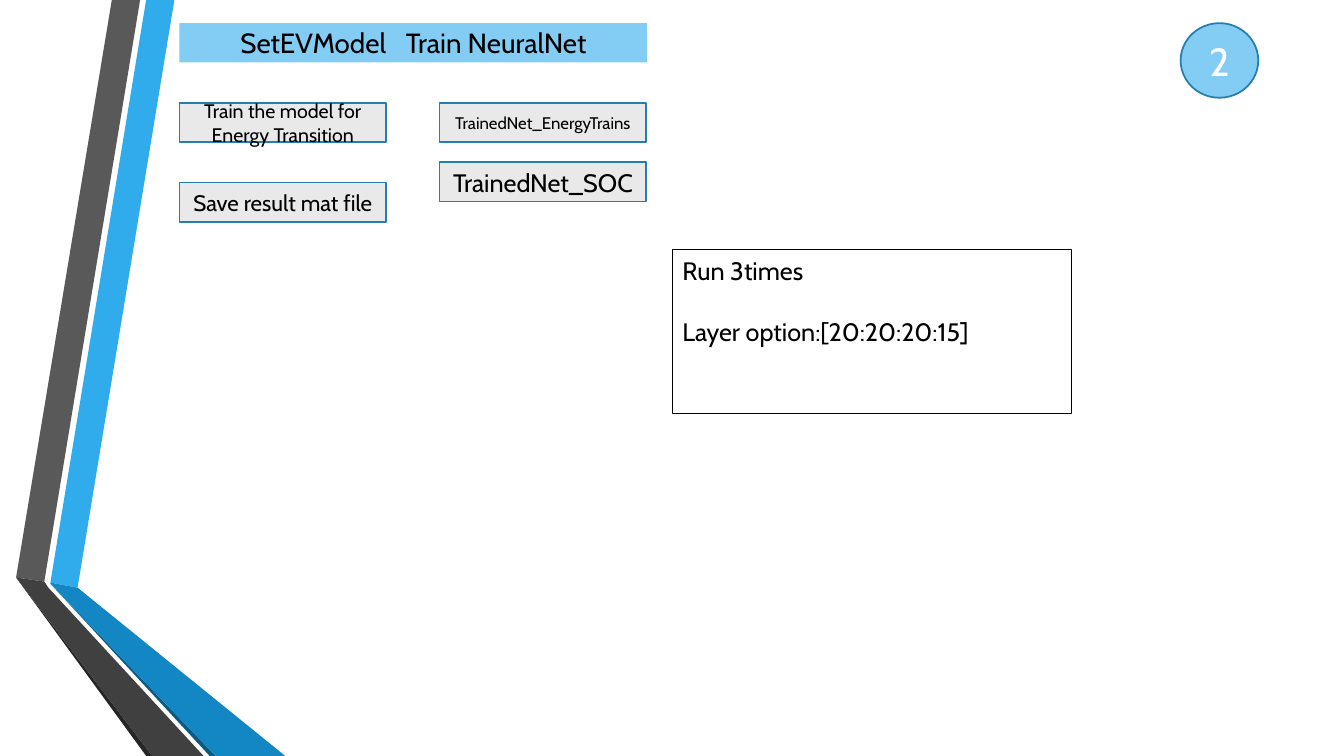
from dataclasses import dataclass

from pptx import Presentation
from pptx.dml.color import RGBColor
from pptx.enum.shapes import MSO_SHAPE
from pptx.enum.text import MSO_ANCHOR, PP_ALIGN
from pptx.util import Pt

RECT, CIRCLE = MSO_SHAPE.RECTANGLE, MSO_SHAPE.FLOWCHART_CONNECTOR
LEFT, CENTER = PP_ALIGN.LEFT, PP_ALIGN.CENTER
TOP, MIDDLE = MSO_ANCHOR.TOP, MSO_ANCHOR.MIDDLE

PX = 9144  # EMU per px, 100 px to the inch
FONT = "Cabin"
COLORS = {
    "blue": "30ACEC", "blue_fold": "1287C3", "blue_edge": "0C5A82",
    "gray": "595959", "gray_fold": "404040", "gray_edge": "262626",
    "sky": "83CDF4", "step": "E9E9E9", "outline": "247FAF",
    "black": "000000", "white": "FFFFFF",
}


@dataclass
class Ribbon:
    color: str
    points: list[tuple[int, int]]


@dataclass
class Box:
    lines: list[str]
    left: int
    top: int
    width: int
    height: int
    size: float
    fill: str | None = "step"
    line: str | None = "outline"
    line_width: float = 1.25
    color: str = "black"
    kind: MSO_SHAPE = RECT
    align: PP_ALIGN = CENTER
    anchor: MSO_ANCHOR = MIDDLE
    gap: int = 0  # points between paragraphs


RIBBONS = [
    Ribbon("blue", [(50, 578), (77, 583), (173, 0), (145, 0)]),
    Ribbon("gray", [(139, 0), (111, 0), (16, 573), (44, 577)]),
    Ribbon("gray_edge", [(16, 573), (145, 750), (151, 750)]),
    Ribbon("blue_edge", [(50, 579), (208, 750), (214, 750)]),
    Ribbon("blue_fold", [(50, 578), (50, 579), (214, 750), (283, 750), (77, 583)]),
    Ribbon("gray_fold", [(16, 573), (151, 750), (202, 750), (48, 583), (44, 577)]),
]

COL_1, COL_2 = 178, 436
STEP_W, STEP_H = 205, 39


def step(text: str, left: int, top: int, size: float) -> Box:
    return Box([text], left, top, STEP_W, STEP_H, size)


HEADING = Box(["SetEVModel", "Train NeuralNet"], COL_1, 23, 464, STEP_H, 19.8,
              fill="sky", line=None)
BOXES = [
    Box(["2"], 1171, 23, 77, 74, 28, fill="sky", color="white", kind=CIRCLE),
    step("Train the model for Energy Transition", COL_1, 102, 14),
    step("TrainedNet_EnergyTrains", COL_2, 102, 12),
    step("TrainedNet_SOC", COL_2, 161, 18),
    step("Save result mat file", COL_1, 181, 16),
    Box(["Run 3times", "Layer option:[20:20:20:15]"], 667, 248, 396, 162, 18,
        fill=None, line="black", line_width=0.75, align=LEFT, anchor=TOP, gap=22),
]


def rgb(name: str) -> RGBColor:
    return RGBColor.from_string(COLORS[name])


def draw_ribbon(s, ribbon: Ribbon) -> None:
    builder = s.shapes.build_freeform(*ribbon.points[0], scale=PX)
    builder.add_line_segments(ribbon.points[1:], close=True)
    sp = builder.convert_to_shape()
    sp.shadow.inherit = False
    sp.fill.solid()
    sp.fill.fore_color.rgb = rgb(ribbon.color)
    sp.line.fill.background()


def add_box(s, box: Box):
    """Draw the box without its text and return its text frame."""
    frame = (n * PX for n in (box.left, box.top, box.width, box.height))
    sp = s.shapes.add_shape(box.kind, *frame)
    sp.shadow.inherit = False
    if box.fill:
        sp.fill.solid()
        sp.fill.fore_color.rgb = rgb(box.fill)
    else:
        sp.fill.background()
    if box.line:
        sp.line.color.rgb = rgb(box.line)
        sp.line.width = Pt(box.line_width)
    else:
        sp.line.fill.background()
    tf = sp.text_frame
    tf.word_wrap = True
    tf.vertical_anchor = box.anchor
    return tf


def style_paragraph(p, box: Box) -> None:
    p.alignment = box.align
    p.font.name = FONT
    p.font.size = Pt(box.size)
    p.font.color.rgb = rgb(box.color)


def draw_box(s, box: Box) -> None:
    tf = add_box(s, box)
    for i, line in enumerate(box.lines):
        p = tf.add_paragraph() if i else tf.paragraphs[0]
        p.text = line
        style_paragraph(p, box)
        if i:
            p.space_before = Pt(box.gap)


def draw_heading(s, box: Box) -> None:
    """Set both parts on one line, parted by a widened space."""
    p = add_box(s, box).paragraphs[0]
    style_paragraph(p, box)
    first, second = box.lines
    for text in (first, " ", second):
        r = p.add_run()
        r.text = text
        if text == " ":
            r.font._element.set("spc", "960")


def main() -> None:
    prs = Presentation()
    prs.slide_width, prs.slide_height = 1333 * PX, 750 * PX
    s = prs.slides.add_slide(prs.slide_layouts[6])

    # Folded ribbons on the left
    for ribbon in RIBBONS:
        draw_ribbon(s, ribbon)

    # Heading, page number, steps and notes
    draw_heading(s, HEADING)
    for box in BOXES:
        draw_box(s, box)

    prs.save("out.pptx")


if __name__ == "__main__":
    main()
